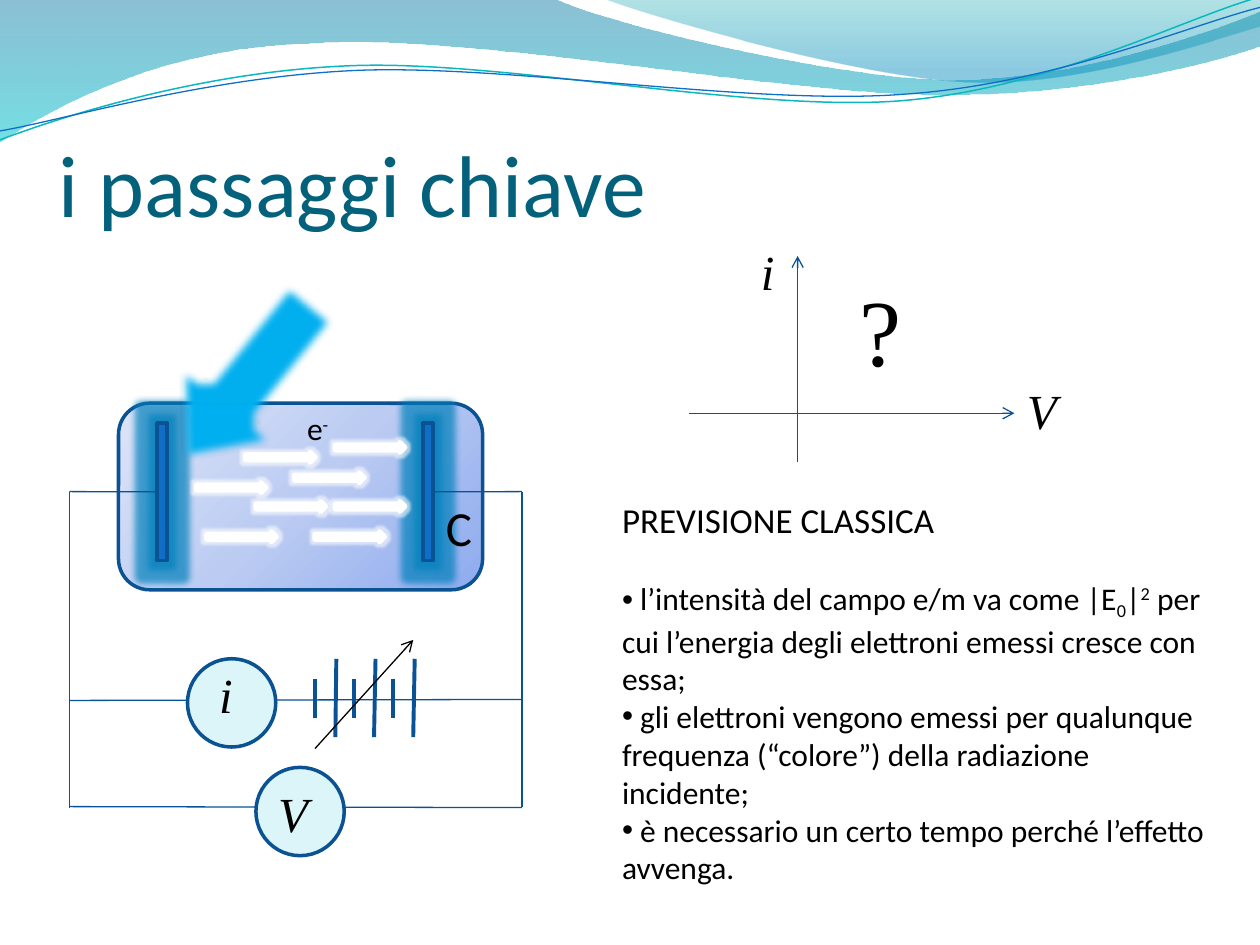
from math import cos, radians, sin

from lxml import etree
from pptx import Presentation
from pptx.dml.color import RGBColor
from pptx.enum.shapes import MSO_CONNECTOR, MSO_SHAPE
from pptx.enum.text import MSO_ANCHOR, MSO_AUTO_SIZE
from pptx.oxml.ns import qn
from pptx.util import Cm, Pt

STRAIGHT = MSO_CONNECTOR.STRAIGHT
RECTANGLE, ROUNDED, ELLIPSE = MSO_SHAPE.RECTANGLE, MSO_SHAPE.ROUNDED_RECTANGLE, MSO_SHAPE.OVAL
DOWN_ARROW, RIGHT_ARROW = MSO_SHAPE.DOWN_ARROW, MSO_SHAPE.RIGHT_ARROW
BOTTOM, GROW, FIXED = MSO_ANCHOR.BOTTOM, MSO_AUTO_SIZE.SHAPE_TO_FIT_TEXT, MSO_AUTO_SIZE.NONE
LEFT_SIDE, RIGHT_SIDE = 1, 3
CM_PER_INCH = 2.54

THEME = {
    "sans": "Calibri", "serif": "Times New Roman",
    "title": "04617B", "text": "000000", "wire": "095295", "outline": "0B5292",
    "plate": "0F6FC6", "plate glow": "0080BC", "meter": "DBF5F9", "light": "00B0F0",
    "electron": "A5C249", "electron line": "FFFFFF",
    "title size": 50, "question size": 54, "label size": 28, "heading size": 20, "body size": 18,
}

# Content; positions are in inches and become Cm in length()
TITLE = "i passaggi chiave"
PREDICTION = [  # paragraphs of (text, baseline in percent)
    [("PREVISIONE CLASSICA", 0)],
    [(" l’intensità del campo e/m va come |E", 0), ("0", -25), ("|", 0), ("2", 30),
     (" per cui l’energia degli elettroni emessi cresce con essa;", 0)],
    [(" gli elettroni vengono emessi per qualunque frequenza (“colore”) della radiazione incidente;", 0)],
    [(" è necessario un certo tempo perché l’effetto avvenga.", 0)],
]
# Filled waves: points, segment kinds (C curve, L straight), gradient stops
FILLED_WAVES = [
    ([(0, 0), (4.4, -0.01), (4.76, 0.17), (6.64, 0.63), (7.58, 0.63), (8.53, 0.63), (9.58, 0.26), (10, 0.09),
      (10.01, 0.36), (9.83, 0.44), (8.7, 0.76), (7.46, 0.75), (6.22, 0.75), (3.82, 0.28), (2.57, 0.34),
      (1.29, 0.36), (0.46, 0.83), (-0.01, 1.13), (0, 0)],
     "LCCLCCCL", [(0, "0074A1", 45), (100, "00C6CF", 55)]),
    ([(4.79, -0.01), (5.09, 0.11), (6.82, 0.62), (7.69, 0.65), (8.56, 0.69), (9.61, 0.32), (10, 0.21),
      (10, 0), (4.79, -0.01)],
     "CCLL", [(0, "00A1A9", 30), (80, "008BBF", 45)]),
]
# Wave lines: points as seen after turning, centre of turning, colour, width
WAVE_LINES = [
    ([(0, 1.11), (0.48, 0.93), (1.58, 0.57), (2.77, 0.52), (3.95, 0.47), (5.93, 0.89), (7.13, 0.8),
      (8.33, 0.71), (9.38, 0.15), (9.98, -0.02)], (4.99, 0.58), "0AB8BF", 0.85),
    ([(0, 1.04), (0.47, 0.96), (1.64, 0.61), (2.83, 0.56), (4.03, 0.51), (5.97, 0.84), (7.17, 0.75),
      (8.36, 0.67), (9.41, 0.21), (10, 0.06)], (5, 0.59), "0F6FC6", 0.75),
]
WAVE_TURN = 357.3
TUBE_STOPS = [(0, "8EABEE", 100), (50, "BBCBF2", 100), (100, "DEE5F8", 100)]
LEFT_X, RIGHT_X, PLATE_Y, BATTERY_Y, VOLT_Y = 0.55, 4.14, 3.9, 5.55, 6.41
WIRES = [(LEFT_X, VOLT_Y, LEFT_X, PLATE_Y), (RIGHT_X, BATTERY_Y, RIGHT_X, PLATE_Y),
         (LEFT_X, 6.4, RIGHT_X, VOLT_Y), (RIGHT_X, 6.4, RIGHT_X, BATTERY_Y)]
METERS = [(1.49, 5.23), (2.03, 6.09)]
BATTERY_ROWS = [(2.5, 5.39, 5.7, 0), (2.67, 5.23, 5.85, 0.01)]  # first x, top, bottom, lean
ELECTRONS = [(2.03, 3.98), (2.34, 3.75), (1.64, 4.22), (2.5, 4.22),
             (2.66, 3.98), (1.56, 3.83), (2.66, 3.51), (1.95, 3.59)]
GRAPH_LABELS = [("i", (5.94, 1.87, 0.55, 0.57), "label size", True),
                ("V", (8.05, 2.97, 0.47, 0.57), "label size", True),
                ("?", (6.72, 2.11, 0.78, 1.01), "question size", False)]
METER_LABELS = [("V", (2.11, 6.17, 0.47, 0.57), "label size", True),
                ("i", (1.64, 5.23, 0.55, 0.57), "label size", True)]

presentation = Presentation()


def length(inches):
    return Cm(round(inches * CM_PER_INCH, 2))


presentation.slide_width, presentation.slide_height = length(10), length(7.5)
slide = presentation.slides.add_slide(presentation.slide_layouts[6])
shapes = slide.shapes


def child(parent, tag, **attributes):
    return etree.SubElement(parent, qn(tag), {key: str(value) for key, value in attributes.items()})


def add_color(parent, color, opacity):
    child(child(parent, "a:srgbClr", val=color), "a:alpha", val=opacity * 1000)


def set_line(line, color, width):
    line.color.rgb = RGBColor.from_string(color)
    line.width = Pt(width)


def set_gradient(shape, stops, circular=False):
    shape.fill.background()
    placeholder = shape._element.spPr.find(qn("a:noFill"))
    gradient = etree.Element(qn("a:gradFill"), rotWithShape="1")
    stop_list = child(gradient, "a:gsLst")
    for position, color, opacity in stops:
        add_color(child(stop_list, "a:gs", pos=position * 1000), color, opacity)
    if circular:
        child(child(gradient, "a:path", path="circle"), "a:fillToRect", l=100000, t=100000)
    else:
        child(gradient, "a:lin", ang=5400000, scaled=1)
    placeholder.getparent().replace(placeholder, gradient)


def add_effect(shape, tag, radius, color=None, opacity=100):
    effect = child(shape._element.spPr.find(qn("a:effectLst")), tag, rad=Pt(radius))
    if color:
        add_color(effect, color, opacity)


def add_shape(kind, box, fill=None, line=THEME["outline"], width=2):
    shape = shapes.add_shape(kind, *map(length, box))
    shape.shadow.inherit = False
    if fill:
        shape.fill.solid()
        shape.fill.fore_color.rgb = RGBColor.from_string(fill)
    set_line(shape.line, line, width)
    return shape


def add_line(x1, y1, x2, y2, width=0.75, color=THEME["wire"], arrow=False):
    connector = shapes.add_connector(STRAIGHT, *map(length, (x1, y1, x2, y2)))
    set_line(connector.line, color, width)
    if arrow:
        child(connector.line._get_or_add_ln(), "a:tailEnd", type="arrow")
    child(connector._element.spPr, "a:effectLst")
    return connector


def add_wave(points, kinds, closed):
    """Build an outline, joining three points at a time into each curve."""
    (start_x, start_y), *others = [(length(x), length(y)) for x, y in points]
    builder = shapes.build_freeform(start_x, start_y, scale=1.0)
    builder.add_line_segments(others, close=closed)
    shape = builder.convert_to_shape()
    shape.shadow.inherit = False
    steps = iter(list(shape._element.spPr.iter(qn("a:lnTo"))))
    for kind in kinds:
        step = next(steps)
        if kind == "C":
            step.addprevious(curve := etree.Element(qn("a:cubicBezTo")))
            for part in (step, next(steps), next(steps)):
                curve.append(part[0])
                part.getparent().remove(part)
    return shape


def turn(point, centre, degrees):
    angle = radians(degrees)
    x, y = point[0] - centre[0], point[1] - centre[1]
    return (centre[0] + x * cos(angle) - y * sin(angle), centre[1] + x * sin(angle) + y * cos(angle))


def add_text(box, paragraphs, size, font="sans", color="text", italic=False):
    text_frame = shapes.add_textbox(*map(length, box)).text_frame
    text_frame.word_wrap = True
    text_frame.auto_size = GROW
    for index, parts in enumerate(paragraphs):
        paragraph = text_frame.add_paragraph() if index else text_frame.paragraphs[0]
        for text, baseline in parts:
            run = paragraph.add_run()
            run.text = text
            run.font.name, run.font.size, run.font.italic = THEME[font], Pt(THEME[size]), italic
            run.font.color.rgb = RGBColor.from_string(THEME[color])
            if baseline:
                run._r.get_or_add_rPr().set("baseline", str(baseline * 1000))
    return text_frame


def add_labels(labels):
    for text, box, size, italic in labels:
        add_text(box, [[(text, 0)]], size, "serif", italic=italic)


# Waves and title
for points, kinds, stops in FILLED_WAVES:
    wave = add_wave(points, kinds, closed=True)
    set_gradient(wave, stops)
    wave.line.fill.background()
for points, centre, color, width in WAVE_LINES:
    wave = add_wave([turn(point, centre, 360 - WAVE_TURN) for point in points], "CCC", closed=False)
    wave.rotation = WAVE_TURN
    wave.fill.background()
    set_line(wave.line, color, width)
title_frame = add_text((0.47, 0.62, 9, 1.25), [[(TITLE, 0)]], "title size", color="title")
title_frame.auto_size, title_frame.vertical_anchor = FIXED, BOTTOM
title_frame.margin_left = title_frame.margin_right = title_frame.margin_bottom = 0

# Current against voltage graph
add_line(6.33, 3.67, 6.33, 2.03, arrow=True)
add_line(5.47, 3.28, 8.05, 3.28, arrow=True)
add_labels(GRAPH_LABELS)

# Classical prediction
body = add_text((4.84, 3.91, 4.92, 3.16), PREDICTION, "body size")
body.paragraphs[0].runs[0].font.size = Pt(THEME["heading size"])
body.paragraphs[1].space_before = Pt(21.6)
for paragraph in body.paragraphs[1:]:
    properties = paragraph._p.get_or_add_pPr()
    child(properties, "a:buFont", typeface="Arial")
    child(properties, "a:buChar", char="•")

# Tube with its two plates
add_line(LEFT_X, 5.56, RIGHT_X, BATTERY_Y)
set_gradient(add_shape(ROUNDED, (0.94, 3.2, 2.89, 1.48)), TUBE_STOPS, circular=True)
plates = [add_shape(RECTANGLE, (x, 3.36, 0.08, 1.09), THEME["plate"]) for x in (1.25, 3.36)]
for plate in plates:
    add_effect(plate, "a:glow", 8, THEME["plate glow"], 70)

# Circuit
add_line(1.25, PLATE_Y, LEFT_X, PLATE_Y).begin_connect(plates[0], LEFT_SIDE)
add_line(RIGHT_X, PLATE_Y, 3.44, PLATE_Y).end_connect(plates[1], RIGHT_SIDE)
for wire in WIRES:
    add_line(*wire)
for x, y in METERS:
    add_shape(ELLIPSE, (x, y, 0.7, 0.7), THEME["meter"])
for first_x, top, bottom, lean in BATTERY_ROWS:
    for cell in range(3):
        x = first_x + cell * 0.31
        add_line(x, top, x - lean, bottom, width=2.25)
add_labels(METER_LABELS)
add_line(2.5, 5.94, 3.28, 5.08, color=THEME["text"], arrow=True)

# Incoming light
light = add_shape(DOWN_ARROW, (1.42, 2.19, 1.09, 1.67), THEME["light"])
light.adjustments[0], light.adjustments[1] = 0.5, 0.588
light.rotation = 39.1
add_effect(light, "a:softEdge", 5)

# Electrons
for x, y in ELECTRONS:
    electron = add_shape(RIGHT_ARROW, (x, y, 0.55, 0.08), THEME["electron"], THEME["electron line"], 3)
    add_effect(electron, "a:glow", 3, THEME["electron line"], 60)
add_text((2.34, 3.2, 0.55, 0.4), [[("e", 0), ("-", 30)]], "body size")
add_text((3.44, 3.9, 0.47, 0.57), [[("C", 0)]], "label size")

presentation.save("out.pptx")
